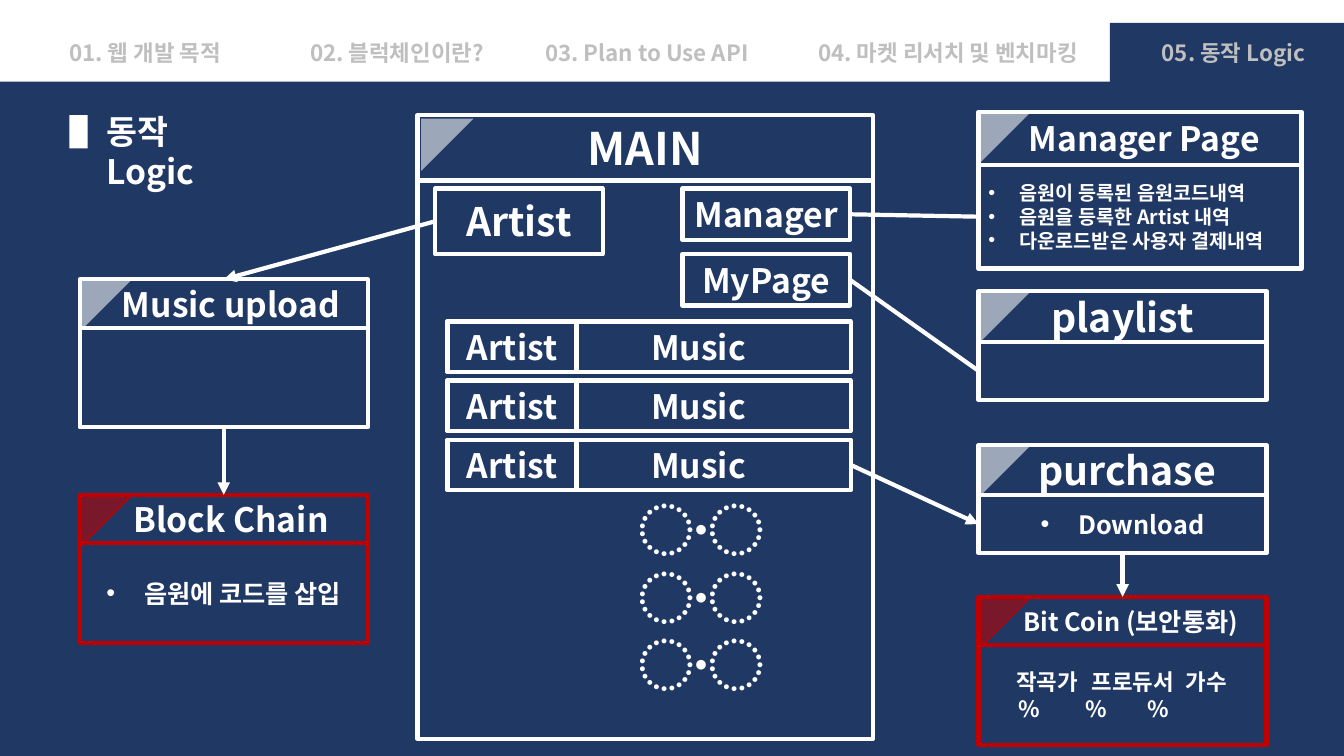
"""Build the service logic slide: navigation bar, main page and linked cards."""
from dataclasses import dataclass

from lxml.etree import SubElement
from pptx import Presentation
from pptx.dml.color import RGBColor
from pptx.enum.shapes import MSO_CONNECTOR as CONN, MSO_SHAPE as SHAPE
from pptx.enum.text import MSO_ANCHOR as ANCHOR, MSO_AUTO_SIZE as AUTO, PP_ALIGN as AL
from pptx.oxml.ns import qn
from pptx.util import Cm, Pt


@dataclass(frozen=True)
class Theme:
    font: str = "Noto Sans CJK KR"
    navy: str = "203864"
    white: str = "FFFFFF"
    grey: str = "BFBFBF"
    red: str = "C00000"
    tiny: int = 14
    small: int = 16
    body: int = 18
    head: int = 24
    large: int = 28
    main: int = 32
    dots: int = 40
    line: float = 3
    corner_line: float = 1
    corner_alpha: int = 56000


T = Theme()


@dataclass(frozen=True)
class Nav:
    text: str
    x: float
    w: float
    color: str = T.grey


@dataclass(frozen=True)
class Card:
    title: str
    x: float
    y: float
    w: float
    head_h: float
    body_h: float
    size: int = T.head
    shift: float = 0
    color: str = T.white
    inset: float = 0
    lines: tuple[str, ...] = ()
    body_size: int = T.body
    align: AL = AL.CENTER
    bullet: float = 0
    tabs: tuple[tuple[float, ...], ...] = ()


@dataclass(frozen=True)
class Button:
    text: str
    x: float
    y: float
    w: float
    h: float
    size: int = T.head


def write(tf, *lines: str, size: int, color: str = T.white, align: AL = AL.LEFT,
          anchor: ANCHOR = ANCHOR.TOP, left: float = 0.25, bullet: float = 0, tabs=()) -> None:
    """Fill a text frame with formatted paragraphs."""
    tf.word_wrap, tf.auto_size = True, AUTO.NONE
    tf.vertical_anchor, tf.margin_left = anchor, Cm(left)
    for i, line in enumerate(lines):
        p = tf.paragraphs[0] if i == 0 else tf.add_paragraph()
        p.alignment, p.line_spacing = align, 1.0
        pPr = p._p.get_or_add_pPr()
        if bullet:
            pPr.set("marL", str(Cm(bullet)))
            pPr.set("indent", str(-Cm(bullet)))
            SubElement(pPr, qn("a:buFont"), typeface="Arial")
            SubElement(pPr, qn("a:buChar"), char="•")
        if tabs:
            stops = SubElement(pPr, qn("a:tabLst"))
            for stop in tabs[i]:
                SubElement(stops, qn("a:tab"), pos=str(Cm(stop)), algn="l")
        r = p.add_run()
        r.text = line
        r.font.size, r.font.bold, r.font.name = Pt(size), True, T.font
        r.font.color.rgb = RGBColor.from_string(color)
        SubElement(r._r.get_or_add_rPr(), qn("a:ea"), typeface=T.font)


def box(s, x: float, y: float, w: float, h: float, fill: str = "", line: str = "",
        width: float = T.line, kind: SHAPE = SHAPE.RECTANGLE):
    """Add a preset shape with an optional fill and outline."""
    sp = s.shapes.add_shape(kind, Cm(x), Cm(y), Cm(w), Cm(h))
    sp.shadow.inherit = False
    if fill:
        sp.fill.solid()
        sp.fill.fore_color.rgb = RGBColor.from_string(fill)
    else:
        sp.fill.background()
    if line:
        sp.line.color.rgb = RGBColor.from_string(line)
        sp.line.width = Pt(width)
    else:
        sp.line.fill.background()
    return sp


def label(s, text: str, x: float, y: float, w: float, h: float, size: int,
          align: AL = AL.CENTER, left: float = 0.25):
    """Add an outlined box with centred text."""
    sp = box(s, x, y, w, h, line=T.white)
    write(sp.text_frame, text, size=size, align=align, anchor=ANCHOR.MIDDLE, left=left)
    return sp


def draw_card(s, c: Card):
    """Draw a card and return its header and body."""
    body = box(s, c.x, c.y + c.head_h, c.w, c.body_h, line=c.color)
    if c.lines:
        write(body.text_frame, *c.lines, size=c.body_size, align=c.align,
              anchor=ANCHOR.MIDDLE, bullet=c.bullet, tabs=c.tabs)
    corner = box(s, c.x + c.inset, c.y + c.inset, 1.32, 1.32, fill=c.color,
                 line=T.red if c.color == T.red else "", width=T.corner_line,
                 kind=SHAPE.RIGHT_TRIANGLE)
    corner.rotation = 90
    fill = corner.element.spPr.find(qn("a:solidFill"))
    SubElement(fill[0], qn("a:alpha"), val=str(T.corner_alpha))
    head = box(s, c.x, c.y, c.w, c.head_h, line=c.color)
    write(head.text_frame, c.title, size=c.size, align=AL.CENTER,
          anchor=ANCHOR.MIDDLE, left=0.25 + c.shift)
    return head, body


def link(s, start, start_site: int, end, end_site: int, arrow: bool = True) -> None:
    """Join two shapes with a straight line."""
    cn = s.shapes.add_connector(CONN.STRAIGHT, 0, 0, 0, 0)
    cn.begin_connect(start, start_site)
    cn.end_connect(end, end_site)
    cn.line.color.rgb = RGBColor.from_string(T.white)
    cn.line.width = Pt(T.line)
    spPr = cn.element.spPr
    if arrow:
        SubElement(spPr.find(qn("a:ln")), qn("a:tailEnd"), type="triangle")
    SubElement(spPr, qn("a:effectLst"))


NAVS = (Nav("01. 웹 개발 목적", 1.09, 5.13), Nav("02. 블럭체인이란?", 7.44, 5.13),
        Nav("03. Plan to Use API", 13.41, 5.79), Nav("04. 마켓 리서치 및 벤치마킹", 19.99, 7.8),
        Nav("05. 동작 Logic", 28.52, 5.13))
CARDS = {
    "main": Card("MAIN", 10.52, 2.9, 11.48, 1.65, 14.07, size=T.main, inset=0.09),
    "upload": Card("Music upload", 2.01, 7.04, 7.26, 1.22, 2.51, shift=0.36),
    "chain": Card("Block Chain", 2.01, 12.47, 7.26, 1.22, 2.51, shift=0.36, color=T.red,
                  lines=("음원에 코드를 삽입",), bullet=0.95),
    "manager": Card("Manager Page", 24.66, 2.82, 8.14, 1.33, 2.62, shift=0.2,
                    lines=("음원이 등록된 음원코드내역", "음원을 등록한 Artist 내역",
                           "다운로드받은 사용자 결제내역"),
                    body_size=T.tiny, align=AL.JUSTIFY, bullet=0.79),
    "playlist": Card("playlist", 24.66, 7.34, 7.26, 1.27, 1.47, size=T.large),
    "purchase": Card("purchase", 24.66, 11.22, 7.26, 1.25, 1.47, size=T.large, shift=0.23,
                     lines=("Download",), bullet=0.95),
    "coin": Card("Bit Coin (보안통화)", 24.66, 15.04, 7.26, 1.22, 2.51, size=T.body,
                 shift=0.41, color=T.red, lines=("\t작곡가\t프로듀서\t가수", "\t%\t%\t%"),
                 body_size=T.small, align=AL.LEFT,
                 tabs=((0.7, 2.6, 4.97), (0.76, 2.45, 4.02))),
}
BUTTONS = {
    "artist": Button("Artist", 10.97, 4.75, 4.22, 1.65, T.large),
    "manager": Button("Manager", 17.2, 4.75, 4.22, 1.3),
    "mypage": Button("MyPage", 17.2, 6.4, 4.22, 1.3),
}

prs = Presentation()
prs.slide_width, prs.slide_height = Cm(33.87), Cm(19.05)
s = prs.slides.add_slide(prs.slide_layouts[5])
box(s, 0, 2.06, 33.87, 16.99, fill=T.navy)
box(s, 27.97, 0.58, 5.9, 2.29, fill=T.navy)
box(s, 1.75, 2.9, 0.46, 0.84, fill=T.white)

title = s.shapes.title
title.left, title.top, title.width, title.height = Cm(2.44), Cm(2.67), Cm(3.6), Cm(2.4)
write(title.text_frame, "동작 Logic", size=T.head)
title.element.getparent().append(title.element)

for nav in NAVS:
    tb = s.shapes.add_textbox(Cm(nav.x), Cm(0.85), Cm(nav.w), Cm(0.94))
    write(tb.text_frame, nav.text, size=T.small, color=nav.color, align=AL.CENTER)

cards = {name: draw_card(s, card) for name, card in CARDS.items()}
buttons = {name: label(s, b.text, b.x, b.y, b.w, b.h, b.size) for name, b in BUTTONS.items()}
for row in range(3):
    y = 8.1 + row * 1.49
    track = label(s, "Music", 11.28, y, 10.16, 1.27, T.head, left=2.74)
    label(s, "Artist", 11.28, y, 3.25, 1.27, T.head)

tb = s.shapes.add_textbox(Cm(15.85), Cm(12.37), Cm(4.1), Cm(5.38))
write(tb.text_frame, *["〮"] * 3, size=T.dots)

TOP, LEFT, BOTTOM, RIGHT = range(4)
link(s, buttons["artist"], LEFT, cards["upload"][0], TOP)
link(s, cards["upload"][1], BOTTOM, cards["chain"][0], TOP)
link(s, buttons["manager"], RIGHT, cards["manager"][1], LEFT, arrow=False)
link(s, buttons["mypage"], RIGHT, cards["playlist"][1], LEFT, arrow=False)
link(s, track, RIGHT, cards["purchase"][1], LEFT)
link(s, cards["purchase"][1], BOTTOM, cards["coin"][0], TOP)

prs.save("out.pptx")
